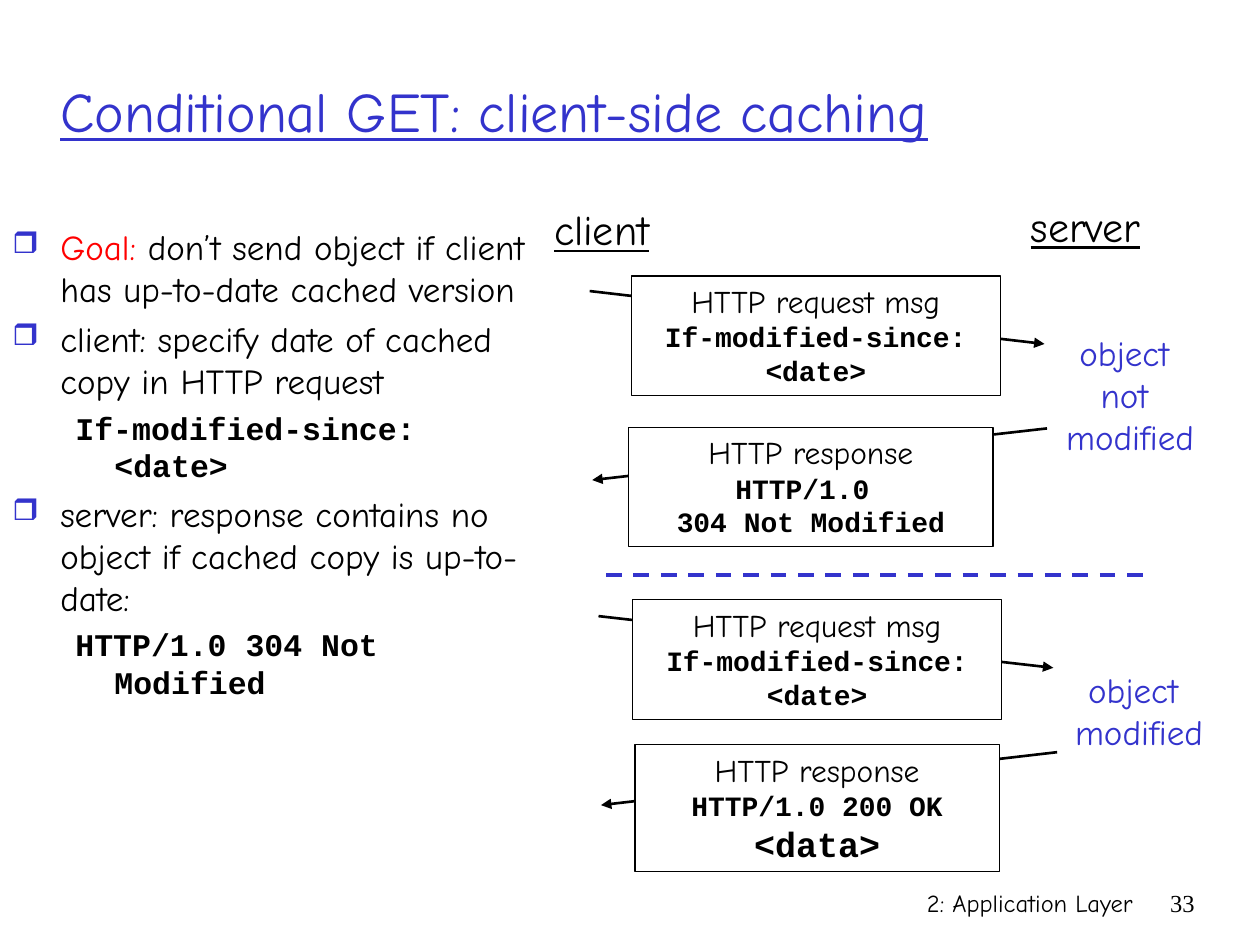
import pptx
import pptx.util
import pptx.dml.color
import pptx.enum.dml
import pptx.enum.shapes
import pptx.enum.text
import pptx.oxml.ns
import lxml.etree

deck = pptx.Presentation()
deck.slide_width = pptx.util.Inches(10)
deck.slide_height = pptx.util.Inches(7.5)
slide = deck.slides.add_slide(deck.slide_layouts[6])
cell = deck.slide_width / 100
tint = {"ink": "000000", "blue": "3333CC", "red": "FF0000", "white": "FFFFFF"}
hues = {name: pptx.dml.color.RGBColor.from_string(code) for name, code in tint.items()}
hand, code, serif = "Comic Neue", "Courier New", "Times New Roman"
align = pptx.enum.text.PP_ALIGN
tag = pptx.oxml.ns.qn


def write(shape, paras, side, wrap=True, mid=False):
    frame = shape.text_frame
    frame.word_wrap = wrap
    anchor = pptx.enum.text.MSO_ANCHOR
    frame.vertical_anchor = anchor.MIDDLE if mid else anchor.TOP
    for row, runs in enumerate(paras):
        para = frame.paragraphs[0] if row == 0 else frame.add_paragraph()
        para.alignment = side
        for text, font, size, hue, line in runs:
            run = para.add_run()
            run.text = text
            run.font.name = font
            run.font.size = pptx.util.Pt(size)
            run.font.bold = font == code
            run.font.underline = line
            run.font.color.rgb = hues[hue]
    return frame


def link(x1, y1, x2, y2, hue, width):
    ends = [int(v * cell) for v in (x1, y1, x2, y2)]
    line = slide.shapes.add_connector(pptx.enum.shapes.MSO_CONNECTOR.STRAIGHT, *ends)
    line.line.color.rgb = hues[hue]
    line.line.width = pptx.util.Pt(width)
    lxml.etree.SubElement(line._element.spPr, tag("a:effectLst"))
    return line.line


labels = [
    (59.2, 70, 31.7, 5, align.RIGHT, True, False, ["2: Application Layer"], hand, 14, "ink", False),
    (90.8, 70, 5, 5, align.RIGHT, True, False, ["33"], serif, 14, "ink", False),
    (3.8, 2.5, 87.1, 12.5, align.LEFT, True, True,
     ["Conditional GET: client-side caching"], hand, 32, "blue", True),
    (42.4, 15.7, 10.7, 5, align.CENTER, False, False, ["client"], hand, 24, "ink", True),
    (80.1, 15.4, 12.1, 5, align.CENTER, False, False, ["server"], hand, 24, "ink", True),
    (83, 25.8, 13.4, 11, align.CENTER, False, False,
     ["object ", "not ", "modified"], hand, 20, "blue", False),
    (83.7, 52.6, 13.4, 7.7, align.CENTER, False, False,
     ["object ", "modified"], hand, 20, "blue", False),
]
for x, y, w, h, side, wrap, mid, rows, font, size, hue, line in labels:
    box = slide.shapes.add_textbox(*[int(v * cell) for v in (x, y, w, h)])
    write(box, [[(text, font, size, hue, line)] for text in rows], side, wrap, mid)

goals = [
    [("Goal:", hand, 20, "red", False),
     (" don\u2019t send object if client has up-to-date cached version", hand, 20, "ink", False)],
    [("client: specify date of cached copy in HTTP request", hand, 20, "ink", False)],
    [("If-modified-since: <date>", code, 18, "ink", False)],
    [("server: response contains no object if cached copy is up-to-date: ",
      hand, 20, "ink", False)],
    [("HTTP/1.0 304 Not Modified", code, 18, "ink", False)],
]
body = slide.shapes.add_textbox(0, int(17.4 * cell), int(44.2 * cell), int(47.1 * cell))
frame = write(body, goals, align.LEFT)
for para, runs in zip(frame.paragraphs, goals):
    sub = runs[0][1] == code
    left, hang = (8.1, 3.1) if sub else (3.8, 3.8)
    para.space_before = pptx.util.Pt(4 if sub else 4.6)
    prop = para._p.get_or_add_pPr()
    prop.set("marL", str(int(left * cell)))
    prop.set("indent", str(int(-hang * cell)))
    if not sub:
        paint = lxml.etree.SubElement(prop, tag("a:buClr"))
        lxml.etree.SubElement(paint, tag("a:srgbClr")).set("val", tint["blue"])
        lxml.etree.SubElement(prop, tag("a:buSzPct")).set("val", "85000")
        lxml.etree.SubElement(prop, tag("a:buChar")).set("char", "\u2752")

ask = [("HTTP request msg", hand, 18), ("If-modified-since: <date>", code, 16)]
reply = ("HTTP response", hand, 18)
calls = [
    ((46.8, 23.1, 82.9, 27.3), (50.1, 21.9, 29.3, 9.5), ask),
    ((83.1, 34, 47, 38.1), (49.9, 33.9, 28.9, 9.5),
     [reply, ("HTTP/1.0 ", code, 16), ("304 Not Modified", code, 16)]),
    ((47.5, 48.9, 83.6, 53), (50.2, 47.6, 29.3, 9.5), ask),
    ((83.9, 59.7, 47.7, 63.9), (50.4, 59.1, 28.9, 10.1),
     [reply, ("HTTP/1.0 200 OK", code, 16), ("<data>", code, 20)]),
]
for ends, place, rows in calls:
    arrow = link(*ends, "ink", 1.5)
    lxml.etree.SubElement(arrow._get_or_add_ln(), tag("a:tailEnd")).set("type", "triangle")
    box = slide.shapes.add_shape(
        pptx.enum.shapes.MSO_SHAPE.RECTANGLE, *[int(v * cell) for v in place])
    box.shadow.inherit = False
    box.fill.solid()
    box.fill.fore_color.rgb = hues["white"]
    box.line.color.rgb = hues["ink"]
    box.line.width = pptx.util.Pt(0.75)
    write(box, [[(*row, "ink", False)] for row in rows], align.CENTER)

split = link(48.1, 45.6, 90.8, 45.6, "blue", 2.25)
split.dash_style = pptx.enum.dml.MSO_LINE.DASH
deck.save("out.pptx")
